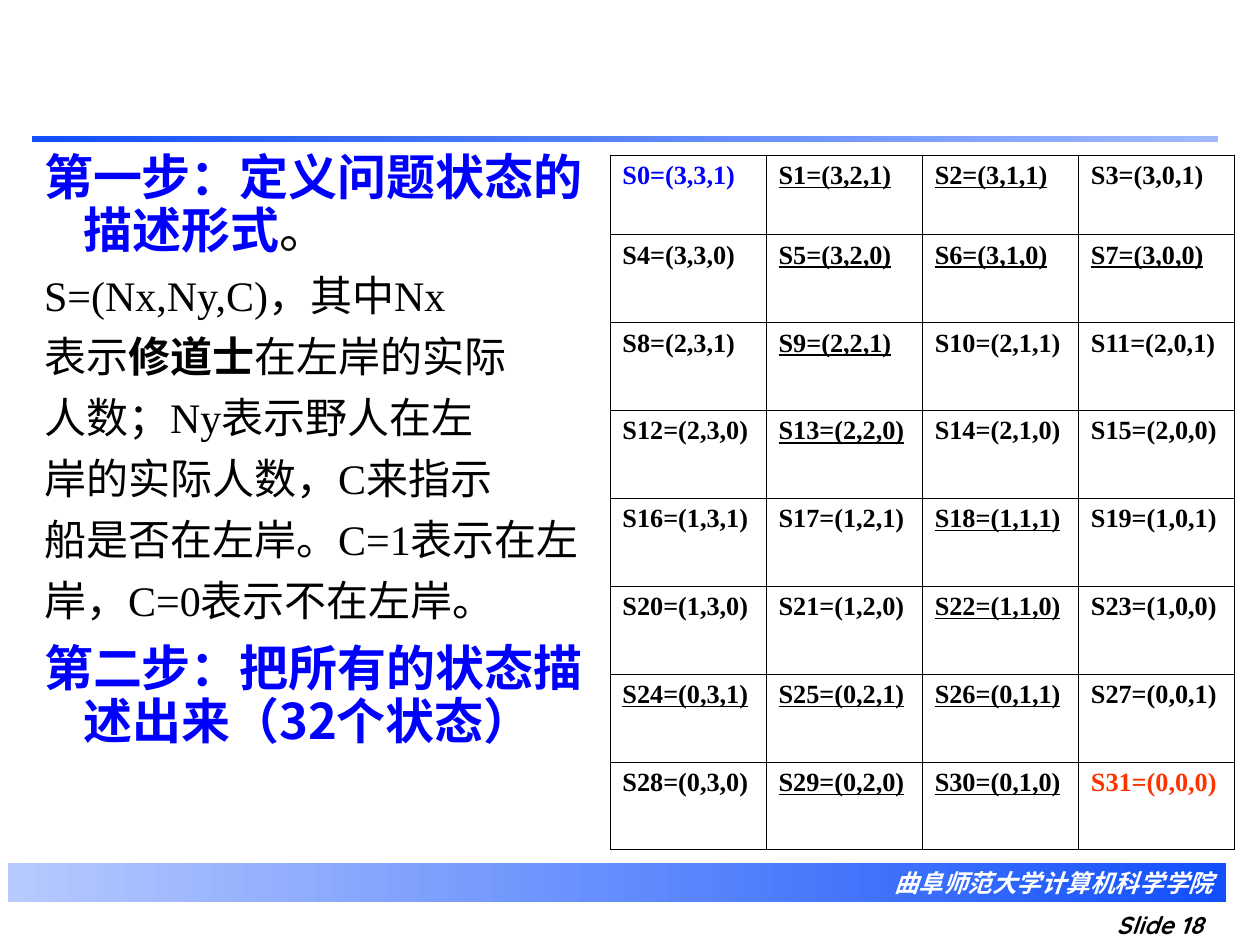
from lxml.etree import SubElement
from pptx import Presentation
from pptx.dml.color import RGBColor
from pptx.enum.shapes import MSO_SHAPE
from pptx.enum.text import MSO_ANCHOR, MSO_AUTO_SIZE, PP_ALIGN
from pptx.oxml.ns import qn
from pptx.util import Pt

COLORS = {
    "white": "FFFFFF", "black": "000000", "blue": "0000FF", "red": "FF3300",
    "royal": "114FFB", "sky": "A0B9FD", "pale": "B7CAFE",
}
HAN_FONT = "Noto Sans CJK SC"
HEADING = {"name": HAN_FONT, "size": Pt(28), "bold": True, "color": "blue"}
HEADING_END = {**HEADING, "bold": False, "color": "black"}
PLAIN = {"name": "Times New Roman", "size": Pt(24), "bold": False, "color": "black"}
STRONG = {**PLAIN, "bold": True}
STATE = {"name": "Times New Roman", "size": Pt(15), "bold": True, "color": "black"}
SCHOOL = {"name": "Arial", "size": Pt(14), "bold": True, "italic": True, "color": "white"}
NUMBER = {**SCHOOL, "name": "Quicksand", "color": "black"}

STEPS = [
    [("第一步：定义问题状态的描述形式", HEADING), ("。", HEADING_END)],
    [("S=(Nx,Ny,C)，其中Nx", PLAIN)],
    [("表示", PLAIN), ("修道士", STRONG), ("在左岸的实际", PLAIN)],
    [("人数；Ny表示野人在左", PLAIN)],
    [("岸的实际人数，C来指示", PLAIN)],
    [("船是否在左岸。C=1表示在左", PLAIN)],
    [("岸，C=0表示不在左岸。", PLAIN)],
    [("第二步：把所有的状态描述出来（32个状态）", HEADING)],
]
UNDERLINED = {1, 2, 5, 6, 7, 9, 13, 18, 22, 24, 25, 26, 29, 30}
END_COLORS = {0: "blue", 31: "red"}
ROWS, COLUMNS = 8, 4


def state_label(index):
    """Return the label of a state: monks, savages and boat on the left bank."""
    return f"S{index}=({3 - index // 8},{3 - index % 4},{1 - index // 4 % 2})"


class SlideBuilder:
    """Hold the style and the current slide, and add each kind of element."""

    def __init__(self, slide, colors, hanging):
        """Keep the slide, its palette and its hanging indent."""
        self.slide = slide
        self.colors = colors
        self.hanging = hanging

    def color(self, name):
        """Return a palette colour."""
        return RGBColor.from_string(self.colors[name])

    def run(self, paragraph, text, style):
        """Add a run with the given format values."""
        run = paragraph.add_run()
        run.text = text
        for attribute, value in style.items():
            if attribute == "color":
                run.font.color.rgb = self.color(value)
            else:
                setattr(run.font, attribute, value)
        SubElement(run.font._element, qn("a:ea"), typeface=HAN_FONT)

    def hang(self, paragraph):
        """Give a paragraph the hanging indent and no bullet."""
        properties = paragraph._p.get_or_add_pPr()
        properties.set("marL", str(self.hanging))
        properties.set("indent", str(-self.hanging))
        SubElement(properties, qn("a:buNone"))

    def gradient_bar(self, left, top, width, height, start, end):
        """Add a bar that fades from left to right."""
        bar = self.slide.shapes.add_shape(
            MSO_SHAPE.RECTANGLE, Pt(left), Pt(top), Pt(width), Pt(height))
        bar.shadow.inherit = False
        bar.line.fill.background()
        bar.fill.gradient()
        bar.fill.gradient_angle = 0
        for stop, name, position in zip(bar.fill.gradient_stops, (start, end), (0, 1)):
            stop.color.rgb = self.color(name)
            stop.position = position
        return bar

    def line_of_text(self, shape, text, style, align):
        """Write one line of text in a shape."""
        frame = shape.text_frame
        frame.word_wrap = True
        frame.paragraphs[0].alignment = align
        self.run(frame.paragraphs[0], text, style)
        return frame

    def text_box(self, left, top, width, height, text, style, align):
        """Add a text box with one line."""
        box = self.slide.shapes.add_textbox(Pt(left), Pt(top), Pt(width), Pt(height))
        return self.line_of_text(box, text, style, align)

    def body(self, left, top, width, height, paragraphs):
        """Fill the body placeholder."""
        body = self.slide.placeholders[1]
        place = {"left": left, "top": top, "width": width, "height": height}
        for attribute, value in place.items():
            setattr(body, attribute, Pt(value))
        frame = body.text_frame
        frame.auto_size = MSO_AUTO_SIZE.NONE
        for index, runs in enumerate(paragraphs):
            paragraph = frame.add_paragraph() if index else frame.paragraphs[0]
            self.hang(paragraph)
            paragraph.line_spacing = 0.9
            before = 10.5 if runs[0][1] is HEADING else 9
            paragraph.space_before = Pt(before if index else 0)
            for text, style in runs:
                self.run(paragraph, text, style)

    def border(self, cell):
        """Draw thin lines on all four sides of a cell."""
        for side in ("lnL", "lnR", "lnT", "lnB"):
            line = SubElement(cell._tc.get_or_add_tcPr(), qn(f"a:{side}"), w=str(Pt(0.45)))
            fill = SubElement(line, qn("a:solidFill"))
            SubElement(fill, qn("a:srgbClr"), val=self.colors["black"])

    def state_table(self, left, top, column_width, first_height, row_height):
        """Add the table of all states."""
        height = first_height + (ROWS - 1) * row_height
        table = self.slide.shapes.add_table(
            ROWS, COLUMNS, Pt(left), Pt(top), Pt(column_width * COLUMNS), Pt(height)).table
        table.first_row = table.horz_banding = False
        for column in table.columns:
            column.width = Pt(column_width)
        for index, row in enumerate(table.rows):
            row.height = Pt(row_height if index else first_height)
        for index, cell in enumerate(table.iter_cells()):
            self.border(cell)
            cell.fill.background()
            paragraph = cell.text_frame.paragraphs[0]
            self.hang(paragraph)
            style = {**STATE, "underline": index in UNDERLINED,
                     "color": END_COLORS.get(index, "black")}
            self.run(paragraph, state_label(index), style)


def main():
    """Build the slide and save it."""
    deck = Presentation()
    deck.slide_width, deck.slide_height = Pt(720), Pt(540)
    slide = deck.slides.add_slide(deck.slide_layouts[1])
    title = slide.shapes.title._element
    title.getparent().remove(title)

    builder = SlideBuilder(slide, COLORS, Pt(22.5))
    builder.gradient_bar(18, 77.75, 678.25, 3.25, "royal", "sky")
    footer = builder.gradient_bar(4.5, 493, 696, 22.5, "pale", "royal")
    school = builder.line_of_text(footer, "曲阜师范大学计算机科学学院", SCHOOL, PP_ALIGN.RIGHT)
    school.vertical_anchor = MSO_ANCHOR.MIDDLE
    number = builder.text_box(589, 516.5, 132, 26, "Slide 18", NUMBER, PP_ALIGN.CENTER)
    number.margin_left = Pt(23)
    builder.body(18, 84, 333.5, 402, STEPS)
    builder.state_table(348.5, 88.5, 89.25, 45.5, 50.25)
    deck.save("out.pptx")


if __name__ == "__main__":
    main()
